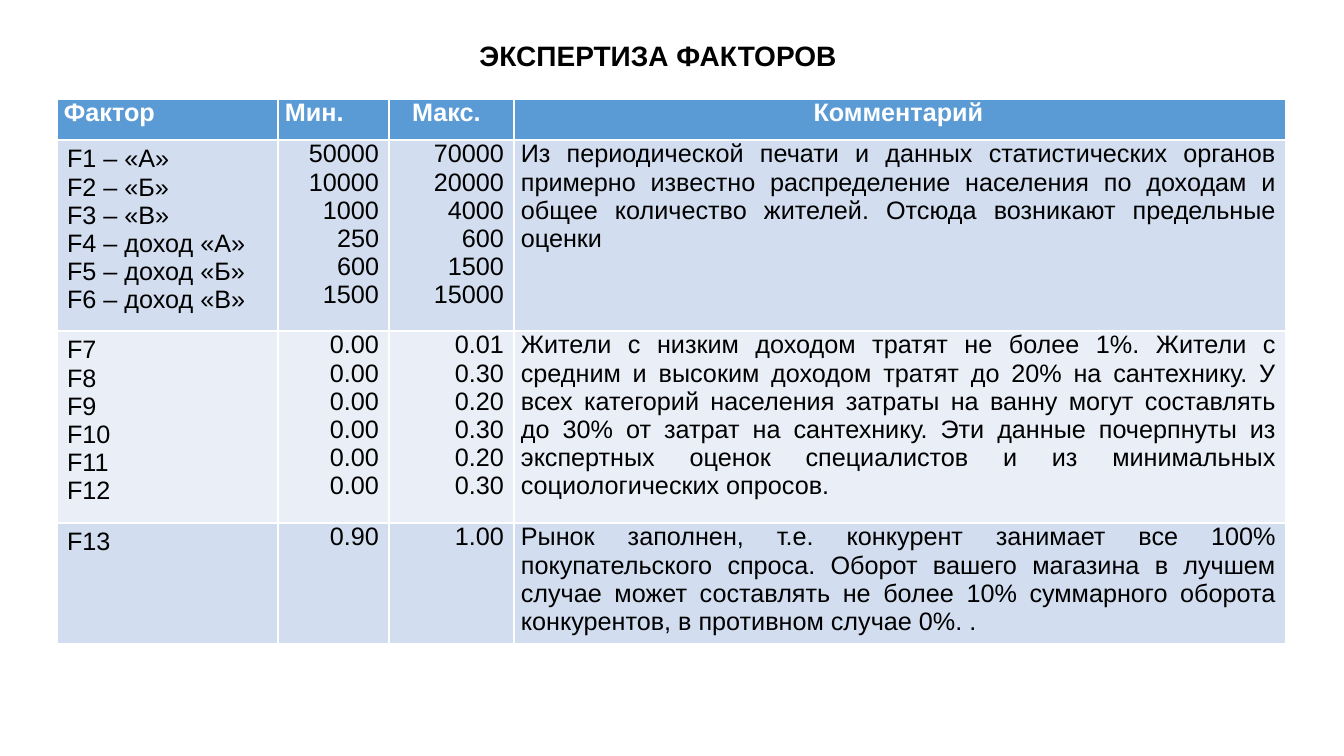
from pptx import Presentation
from pptx.dml.color import RGBColor
from pptx.enum.text import MSO_AUTO_SIZE, PP_ALIGN
from pptx.util import Emu, Pt

LEFT, MID, RIGHT, JUST = PP_ALIGN.LEFT, PP_ALIGN.CENTER, PP_ALIGN.RIGHT, PP_ALIGN.JUSTIFY
GROW = MSO_AUTO_SIZE.SHAPE_TO_FIT_TEXT
SCALE = 914400 / 100.8


def px(n):
    return Emu(round(n * SCALE))


def write(frame, text, align, size, color, bold):
    frame.text = text
    for para in frame.paragraphs:
        para.alignment = align
        font = para.runs[0].font
        look = {"name": "Arial", "size": Pt(size), "bold": bold}
        for key, value in look.items():
            setattr(font, key, value)
        font.color.rgb = RGBColor.from_string(color)


deck = Presentation()
deck.slide_width, deck.slide_height = px(1344), px(756)
slide = deck.slides.add_slide(deck.slide_layouts[6])

heads = ["Фактор", "Мин. ", "Макс. ", "Комментарий"]
rows = [
    heads,
    ["F1 – «А»\nF2 – «Б»\nF3 – «В»\nF4 – доход «А»\nF5 – доход «Б»\nF6 – доход «В»",
     "50000\n10000\n1000\n250\n600\n1500",
     "70000\n20000\n4000\n600\n1500\n15000",
     "Из периодической печати и данных статистических органов примерно известно "
     "распределение населения по доходам и общее количество жителей. "
     "Отсюда возникают предельные оценки"],
    ["F7\nF8\nF9\nF10\nF11\nF12",
     "\n".join(["0.00"] * 6),
     "0.01\n0.30\n0.20\n0.30\n0.20\n0.30",
     "Жители с низким доходом тратят не более 1%. Жители с средним и высоким доходом "
     "тратят до 20% на сантехнику. У всех категорий населения затраты на ванну могут "
     "составлять до 30% от затрат на сантехнику. Эти данные почерпнуты из экспертных "
     "оценок специалистов и из минимальных социологических опросов."],
    ["F13", "0.90", "1.00",
     "Рынок заполнен, т.е. конкурент занимает все 100% покупательского спроса. "
     "Оборот вашего магазина в лучшем случае может составлять не более 10% "
     "суммарного оборота конкурентов, в противном случае 0%. ."],
]
wides = [221, 111, 125, 772]
highs = [41, 191, 192, 121]
fills = ["5B9BD5", "D2DEEF", "EAEFF7", "D2DEEF"]
tops = [JUST, JUST, MID, MID]
sides = [LEFT, RIGHT, RIGHT, JUST]

table = slide.shapes.add_table(
    len(rows), len(heads), px(57), px(99), px(sum(wides)), px(sum(highs))).table
for col, wide in zip(table.columns, wides):
    col.width = px(wide)
for r, (row, high) in enumerate(zip(rows, highs)):
    table.rows[r].height = px(high)
    for c, text in enumerate(row):
        cell = table.cell(r, c)
        cell.fill.solid()
        cell.fill.fore_color.rgb = RGBColor.from_string(fills[r])
        if r == 0 or c > 0:
            pads = {"left": 7, "right": 10, "top": 0, "bottom": 0}
            for side, pad in pads.items():
                setattr(cell, "margin_" + side, px(pad))
        if r == 0:
            write(cell.text_frame, text, tops[c], 18, "FFFFFF", True)
        else:
            write(cell.text_frame, text, sides[c], 18, "000000", False)

title = slide.shapes.add_textbox(px(278), px(34), px(760), px(44)).text_frame
title.word_wrap = True
title.auto_size = GROW
write(title, "ЭКСПЕРТИЗА ФАКТОРОВ", MID, 20, "000000", True)

deck.save("out.pptx")
